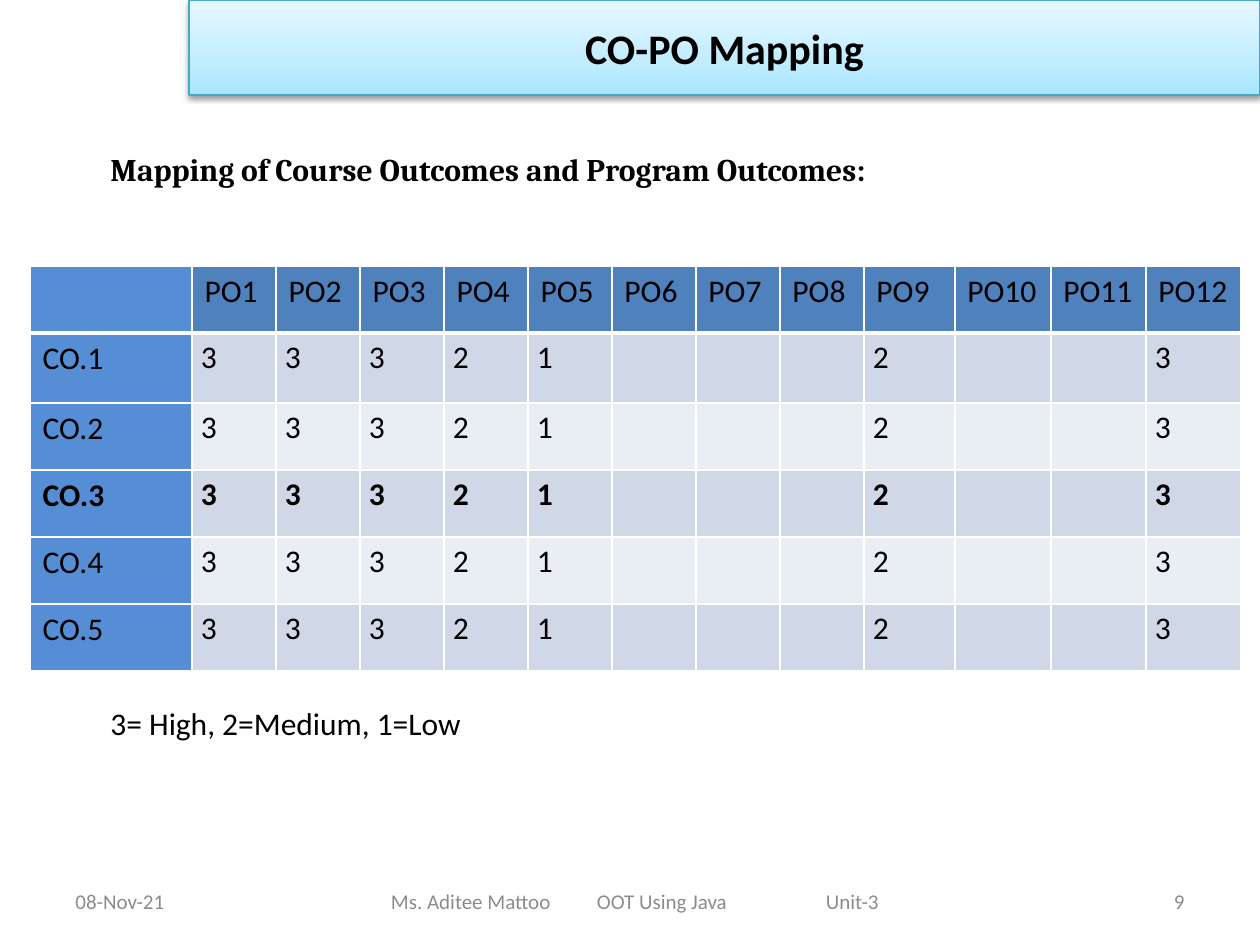
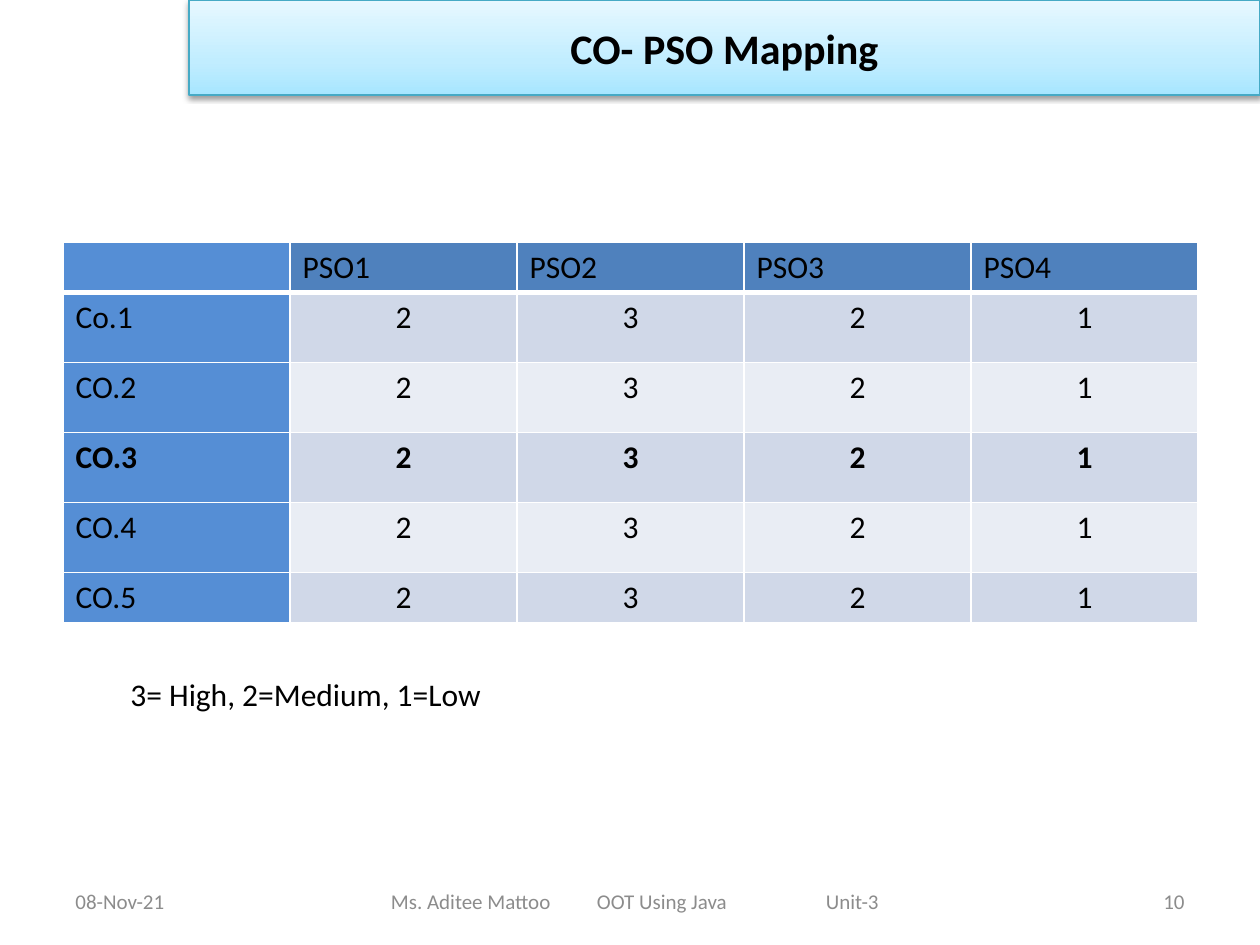
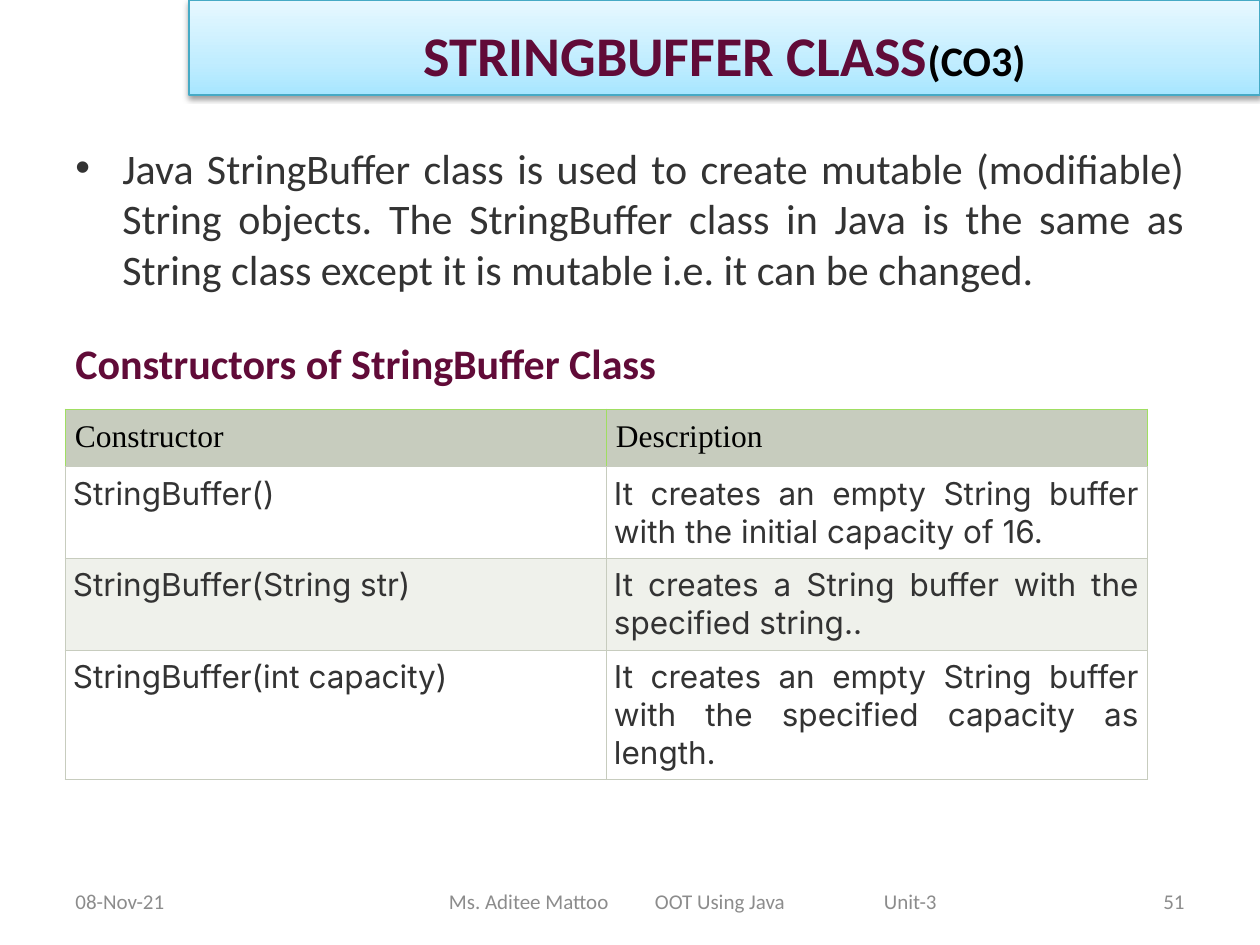
from lxml import etree
from pptx import Presentation, util as u
from pptx.dml.color import RGBColor
from pptx.enum import shapes, text
from pptx.oxml import parse_xml
from pptx.oxml.ns import nsdecls, qn

PX = u.Inches(1) / 126
BLACK = RGBColor(0x00, 0x00, 0x00)
WHITE = RGBColor(0xFF, 0xFF, 0xFF)
GREY = RGBColor(0x8C, 0x8C, 0x8C)
INK = RGBColor(0x33, 0x33, 0x33)
WINE = RGBColor(0x61, 0x0B, 0x38)
TEAL = RGBColor(0x46, 0xAA, 0xC5)
HEAD = RGBColor(0x4F, 0x81, 0xBD)
SIDE = RGBColor(0x55, 0x8E, 0xD5)
DARK = RGBColor(0xD0, 0xD8, 0xE8)
LIGHT = RGBColor(0xE9, 0xED, 0xF4)
SAGE = RGBColor(0xC7, 0xCC, 0xBE)
MIST = RGBColor(0xEF, 0xF1, 0xEB)
LIME = RGBColor(0xA0, 0xDE, 0x62)
SKY = ((0, "A7E6FF"), (35, "C1EDFF"), (100, "E7F8FF"))

LEFT, MID = text.PP_ALIGN.LEFT, text.PP_ALIGN.CENTER
RIGHT, FULL = text.PP_ALIGN.RIGHT, text.PP_ALIGN.JUSTIFY
LEGEND = "3= High, 2=Medium, 1=Low"
FOOT = "Ms. Aditee Mattoo\tOOT Using Java\tUnit-3"


def px(n):
    return u.Emu(round(n * PX))


def write(par, words, size=18, color=BLACK, font="Calibri", bold=False,
          align=LEFT, line=None, before=None):
    """Add one run to a paragraph and set the paragraph's format."""
    par.alignment = align
    if line:
        par.line_spacing = line
    if before:
        par.space_before = u.Pt(before)
    run = par.add_run()
    run.text = words
    run.font.size = u.Pt(size)
    run.font.name = font
    run.font.bold = bold
    run.font.color.rgb = color


def box(slide, left, top, width, height, middle=False):
    frame = slide.shapes.add_textbox(*map(px, (left, top, width, height))).text_frame
    frame.word_wrap = True
    if middle:
        frame.vertical_anchor = text.MSO_ANCHOR.MIDDLE
    return frame


def bullet(par, indent):
    props = par._p.get_or_add_pPr()
    props.set("marL", str(px(indent)))
    props.set("indent", str(-px(indent)))
    etree.SubElement(props, qn("a:buFont"), typeface="Arial")
    etree.SubElement(props, qn("a:buChar"), char="•")


def tabs(par, *stops):
    found = etree.SubElement(par._p.get_or_add_pPr(), qn("a:tabLst"))
    for stop in stops:
        etree.SubElement(found, qn("a:tab"), pos=str(px(stop)), algn="l")


def band(slide):
    """Draw the title band and return its text frame."""
    shape = slide.shapes.add_shape(
        shapes.MSO_SHAPE.RECTANGLE, *map(px, (189, 0, 1071, 95)))
    stops = "".join(f'<a:gs pos="{at * 1000}"><a:srgbClr val="{tone}"/></a:gs>'
                    for at, tone in SKY)
    shape.line.color.rgb = TEAL
    shape.line.width = u.Pt(0.75)
    shape.shadow.inherit = False
    props = shape._element.spPr
    props.find(qn("a:prstGeom")).addnext(parse_xml(
        f'<a:gradFill {nsdecls("a")}><a:gsLst>{stops}</a:gsLst>'
        '<a:lin ang="16200000" scaled="0"/></a:gradFill>'))
    props.find(qn("a:effectLst")).append(parse_xml(
        f'<a:outerShdw {nsdecls("a")} blurRad="40000" dist="20000" dir="5400000" '
        'rotWithShape="0"><a:srgbClr val="000000"><a:alpha val="38000"/>'
        '</a:srgbClr></a:outerShdw>'))
    frame = shape.text_frame
    frame.word_wrap = True
    frame.vertical_anchor = text.MSO_ANCHOR.MIDDLE
    return frame


def footer(slide, number, width=577):
    small = dict(size=12, color=GREY)
    write(box(slide, 63, 876, 294, 50, True).paragraphs[0], "08-Nov-21", **small)
    frame = box(slide, 347, 876, width, 50, True)
    frame.margin_left = px(44 + (width - 577) // 2)
    tabs(frame.paragraphs[0], 206, 435)
    write(frame.paragraphs[0], FOOT, **small)
    write(box(slide, 903, 876, 294, 50, True).paragraphs[0], str(number),
          align=RIGHT, **small)


def start(deck, number, title=None, width=577):
    """Add a slide with its band and footer; return the slide and title frame."""
    slide = deck.slides.add_slide(deck.slide_layouts[6])
    footer(slide, number, width)
    frame = band(slide)
    if title:
        write(frame.paragraphs[0], title, size=24, bold=True, align=MID)
    return slide, frame


def grid(slide, left, top, cols, rows):
    table = slide.shapes.add_table(
        len(rows), len(cols), *map(px, (left, top, sum(cols), sum(rows)))).table
    table.first_row = table.horz_banding = False
    for col, size in zip(table.columns, cols):
        col.width = px(size)
    for row, size in zip(table.rows, rows):
        row.height = px(size)
    return table


def cell(spot, words, fill, edges, pad=None, **fmt):
    """Fill a cell; edges are (colour, points) for left, right, top, bottom."""
    spot.fill.solid()
    spot.fill.fore_color.rgb = fill
    if pad:
        (spot.margin_left, spot.margin_top,
         spot.margin_right, spot.margin_bottom) = map(px, pad)
    props = spot._tc.get_or_add_tcPr()
    for i, (side, (color, size)) in enumerate(zip("LRTB", edges)):
        props.insert(i, parse_xml(
            f'<a:ln{side} {nsdecls("a")} w="{u.Pt(size)}"><a:solidFill>'
            f'<a:srgbClr val="{color}"/></a:solidFill></a:ln{side}>'))
    if words:
        write(spot.text_frame.paragraphs[0], words, **fmt)


def matrix(slide, left, top, cols, rows, heads, names, marks, **fmt):
    """Map each course outcome to the marks under the column heads."""
    table = grid(slide, left, top, cols, rows)
    thin, thick = (WHITE, 1), (WHITE, 3)
    for c, head in enumerate([""] + heads):
        cell(table.cell(0, c), head, HEAD if c else SIDE, (thin, thin, thin, thick))
    for r, name in enumerate(names, 1):
        edges = (thin, thin, thick if r == 1 else thin, thin)
        bold = name == "CO.3"
        cell(table.cell(r, 0), name, SIDE, edges, bold=bold)
        for c, mark in enumerate(marks, 1):
            cell(table.cell(r, c), mark, DARK if r % 2 else LIGHT, edges,
                 bold=bold, **fmt)


def program(deck):
    slide, _ = start(deck, 9, "CO-PO Mapping")
    par = box(slide, 98, 144, 1103, 50, True).paragraphs[0]
    write(par, "Mapping of Course Outcomes and Program Outcomes",
          font="Cambria", bold=True)
    write(par, ":", bold=True)
    write(box(slide, 98, 698, 634, 50).paragraphs[0], LEGEND)
    matrix(slide, 30, 266, [162] + [84] * 8 + [91, 96, 95, 95], [67, 70] + [67] * 4,
           [f"PO{n}" for n in range(1, 13)], [f"CO.{n}" for n in range(1, 6)],
           ["3", "3", "3", "2", "1", "", "", "", "2", "", "", "3"],
           pad=(9, 0, 9, 0), line=1.15)


def special(deck):
    slide, _ = start(deck, 10, "CO- PSO Mapping")
    matrix(slide, 63, 242, [227] * 5, [50] + [70] * 4 + [50],
           [f"PSO{n}" for n in range(1, 5)],
           ["Co.1", "CO.2", "CO.3", "CO.4", "CO.5"], list("2321"), align=MID)
    write(box(slide, 118, 669, 601, 50).paragraphs[0], LEGEND)


def buffer(deck):
    slide, title = start(deck, 51, width=693)
    title.margin_top = px(19)
    par = title.paragraphs[0]
    write(par, "STRINGBUFFER CLASS", size=32, color=WINE, bold=True, align=MID)
    write(par, "(CO3)", size=24, bold=True, align=MID)

    body = box(slide, 63, 136, 1134, 624)
    bullet(body.paragraphs[0], 47)
    write(body.paragraphs[0],
          "Java StringBuffer class is used to create mutable (modifiable) String "
          "objects. The StringBuffer class in Java is the same as String class "
          "except it is mutable i.e. it can be changed.",
          size=24, color=INK, align=FULL)
    write(body.add_paragraph(), "Constructors of StringBuffer Class",
          size=24, color=WINE, bold=True, align=FULL, before=25)

    table = grid(slide, 65, 409, [541] * 2, [56, 90, 90, 128])
    rows = (
        ("StringBuffer()",
         "It creates an empty String buffer with the initial capacity of 16."),
        ("StringBuffer(String str)",
         "It creates a String buffer with the specified string.."),
        ("StringBuffer(int capacity)",
         "It creates an empty String buffer with the specified capacity as length."),
    )
    lime, sage = (LIME, 0.5), (SAGE, 0.5)
    for c, head in enumerate(("Constructor", "Description")):
        cell(table.cell(0, c), head, SAGE, (lime, lime, lime, sage),
             pad=[10] * 4, font="Times New Roman")
    for r, row in enumerate(rows, 1):
        for c, words in enumerate(row):
            cell(table.cell(r, c), words, WHITE if r % 2 else MIST, [sage] * 4,
                 pad=[8] * 4, font="Inter", color=INK, align=FULL)


def main():
    deck = Presentation()
    deck.slide_width, deck.slide_height = px(1260), px(945)
    program(deck)
    special(deck)
    buffer(deck)
    deck.save("out.pptx")


if __name__ == "__main__":
    main()
